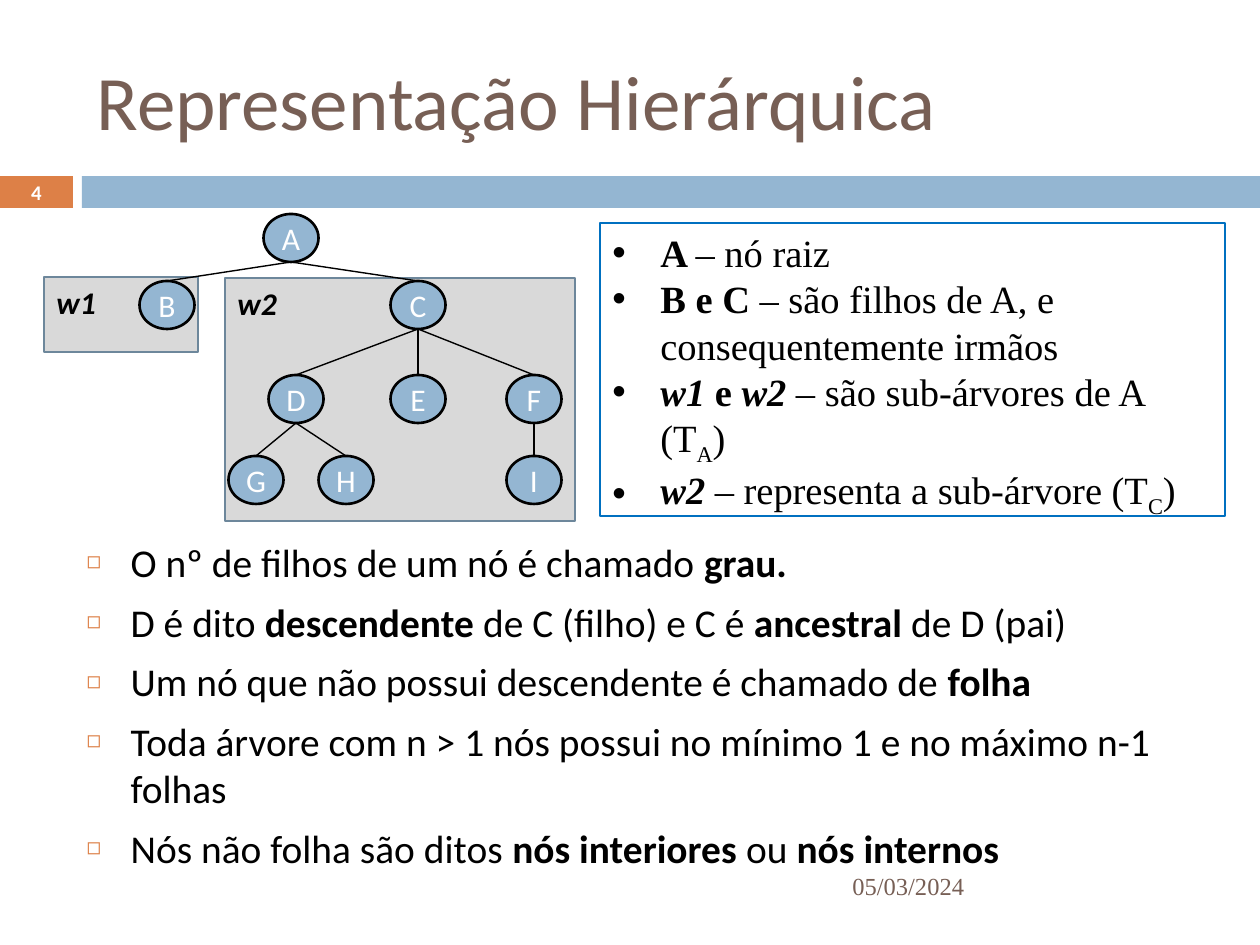
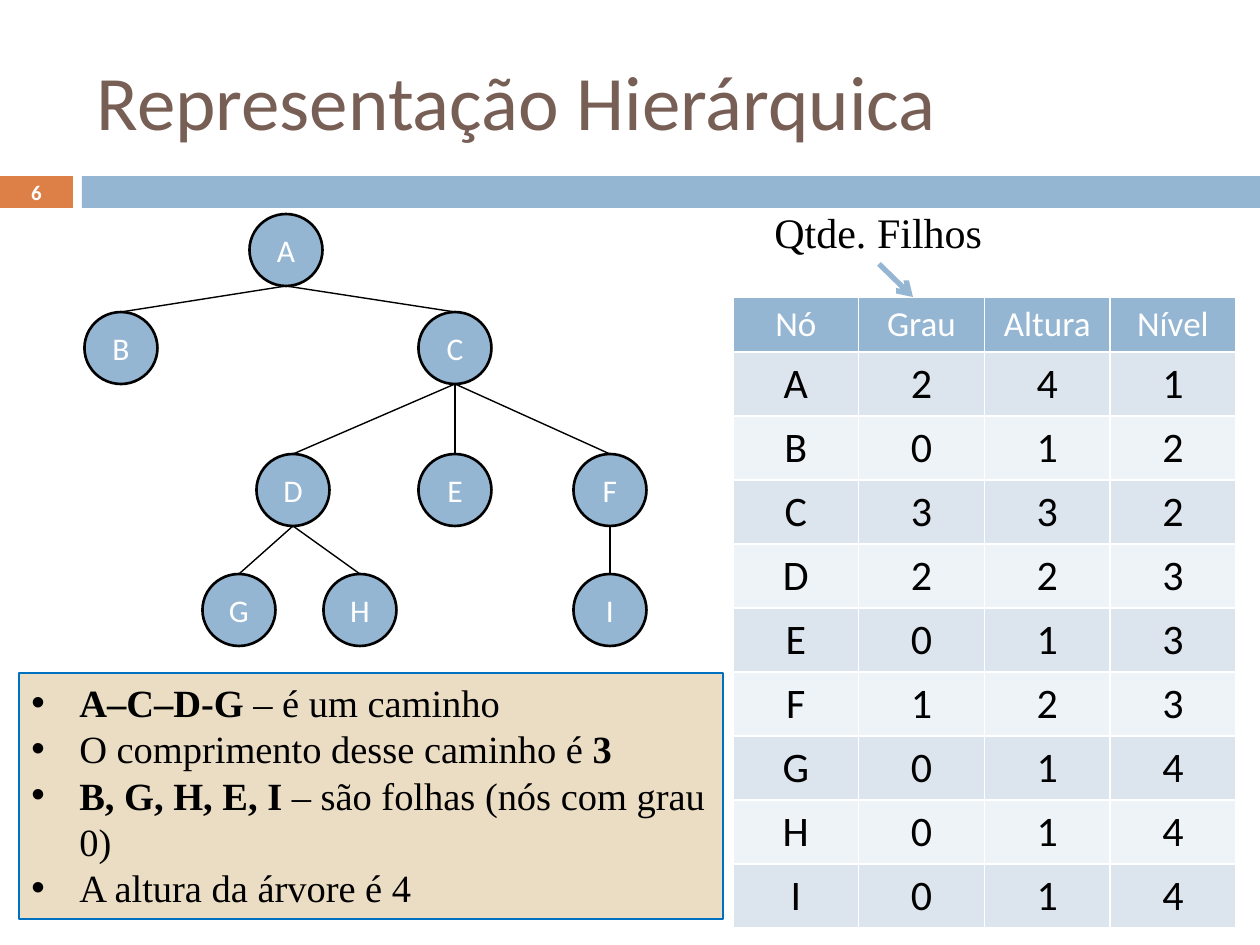
from dataclasses import dataclass

from lxml.etree import SubElement
from pptx import Presentation
from pptx.dml.color import RGBColor
from pptx.enum.shapes import MSO_CONNECTOR, MSO_SHAPE
from pptx.enum.text import MSO_ANCHOR, MSO_AUTO_SIZE, PP_ALIGN
from pptx.oxml.ns import qn
from pptx.util import Emu, Pt

EMU_PER_PX = 914400 / 126


@dataclass(frozen=True)
class Theme:
    sans: str = "Calibri"
    serif: str = "Times New Roman"
    brown: str = "775F55"
    orange: str = "DD8047"
    blue: str = "94B6D2"
    slate: str = "6D879B"
    edge_blue: str = "0070C0"
    gray: str = "D9D9D9"
    sand: str = "EBDDC3"
    row_dark: str = "DCE5EE"
    row_light: str = "EEF3F7"
    black: str = "000000"
    white: str = "FFFFFF"
    title: float = 44
    large: float = 24
    body: float = 22.5
    note: float = 22
    header: float = 20
    node: float = 18
    date: float = 14
    number: float = 11.9


T = Theme()

LEVELS = ("A", "BC", "DEF", "GHI")
EDGES = ("AB", "AC", "CD", "CE", "CF", "FI", "DG", "DH")

ROOT_NOTES = [
    [("A ", "b"), ("– nó raiz", "")],
    [("B e C", "b"), (" – são filhos de A, e consequentemente irmãos", "")],
    [("w1 ", "bi"), ("e", "b"), (" w2", "bi"),
     (" – são sub-árvores de A (T", ""), ("A", "s"), (")", "")],
    [("w2", "bi"), (" – representa a sub-árvore (T", ""), ("C", "s"), (")", "")],
]
DEFINITIONS = [
    [("O nº de filhos de um nó é chamado ", ""), ("grau.", "b")],
    [("D é dito ", ""), ("descendente", "b"), (" de C (filho) e C é ", ""),
     ("ancestral ", "b"), ("de D (pai)", "")],
    [("Um nó que não possui descendente é chamado de ", ""), ("folha", "b")],
    [("Toda árvore com n > 1 nós possui no mínimo 1 e no máximo n-1 folhas", "")],
    [("Nós não folha são ditos ", ""), ("nós interiores ", "b"), ("ou ", ""),
     ("nós internos", "b")],
]
PATH_NOTES = [
    [("A–C–D-G ", "b"), ("– é um caminho", "")],
    [("O comprimento desse caminho é ", ""), ("3", "b")],
    [("B, G, H, E, I ", "b"), ("– são folhas (nós com grau 0)", "")],
    [("A altura da árvore é 4", "")],
]
NODE_TABLE = [("Nó", "Grau", "Altura", "Nível")] + [
    tuple(row) for row in
    ("A241", "B012", "C332", "D223", "E013", "F123", "G014", "H014", "I014")]


def px(*lengths):
    return [Emu(round(n * EMU_PER_PX)) for n in lengths]


def rgb(color):
    return RGBColor.from_string(color)


def add_run(p, text, size, color, font=T.sans, style=""):
    """Style letters: b bold, i italic, s subscript."""
    r = p.add_run()
    r.text = text
    f = r.font
    f.name, f.size, f.color.rgb = font, Pt(size), rgb(color)
    f.bold, f.italic = "b" in style, "i" in style
    if "s" in style:
        r._r.get_or_add_rPr().set("baseline", "-25000")


def set_bullet(p, char, indent, color, percent):
    pPr = p._p.get_or_add_pPr()
    hang = px(indent)[0]
    pPr.set("marL", str(hang))
    pPr.set("indent", str(-hang))
    SubElement(SubElement(pPr, qn("a:buClr")), qn("a:srgbClr"), val=color)
    SubElement(pPr, qn("a:buSzPct"), val=str(percent * 1000))
    SubElement(pPr, qn("a:buFont"), typeface="Arial")
    SubElement(pPr, qn("a:buChar"), char=char)


def fill_list(tf, items, size, font, before, bullet):
    tf.word_wrap = True
    tf.auto_size = MSO_AUTO_SIZE.NONE
    tf.vertical_anchor = MSO_ANCHOR.TOP
    for i, runs in enumerate(items):
        p = tf.add_paragraph() if i else tf.paragraphs[0]
        p.alignment = PP_ALIGN.LEFT
        p.line_spacing, p.space_before = 1.0, Pt(before)
        set_bullet(p, *bullet)
        for text, style in runs:
            add_run(p, text, size, T.black, font, style)


def add_box(shapes, kind, box, fill=None, line=None, width=1.5):
    sp = shapes.add_shape(kind, *px(*box))
    sp.shadow.inherit = False
    if fill:
        sp.fill.solid()
        sp.fill.fore_color.rgb = rgb(fill)
    else:
        sp.fill.background()
    if line:
        sp.line.color.rgb = rgb(line)
        sp.line.width = Pt(width)
    else:
        sp.line.fill.background()
    return sp


def add_text(s, box, text, size, color, font=T.sans, style="", align=PP_ALIGN.LEFT,
             anchor=MSO_ANCHOR.MIDDLE, wrap=True):
    tf = s.shapes.add_textbox(*px(*box)).text_frame
    tf.word_wrap, tf.vertical_anchor = wrap, anchor
    tf.paragraphs[0].alignment = align
    add_run(tf.paragraphs[0], text, size, color, font, style)


def add_line(shapes, start, end, color, width, arrow=False):
    c = shapes.add_connector(MSO_CONNECTOR.STRAIGHT, *px(*start, *end))
    c.line.color.rgb = rgb(color)
    c.line.width = Pt(width)
    if arrow:
        SubElement(c.line._get_or_add_ln(), qn("a:tailEnd"), type="arrow")
    SubElement(c._element.spPr, qn("a:effectLst"))


def add_notes(s, box, items, fill=None):
    sp = add_box(s.shapes, MSO_SHAPE.RECTANGLE, box, fill, T.edge_blue, 0.75)
    fill_list(sp.text_frame, items, T.note, T.serif, 0, ("•", 48, T.black, 100))


def add_subtree_area(s, box, label):
    sp = add_box(s.shapes, MSO_SHAPE.RECTANGLE, box, T.gray, T.slate)
    tf = sp.text_frame
    tf.vertical_anchor = MSO_ANCHOR.TOP
    tf.paragraphs[0].alignment = PP_ALIGN.LEFT
    add_run(tf.paragraphs[0], label, T.node, T.black, style="bi")


def add_tree(s, centers, tops, size):
    """Draw the nodes A to I, given the centre of each and the top of each level."""
    w, h = size
    x = dict(zip("".join(LEVELS), centers))
    y = {name: top for names, top in zip(LEVELS, tops) for name in names}
    tree = s.shapes.add_group_shape().shapes
    for name in x:
        node = add_box(tree, MSO_SHAPE.OVAL, (x[name] - w / 2, y[name], w, h),
                       T.blue, T.black)
        tf = node.text_frame
        tf.margin_left = tf.margin_right = tf.margin_top = tf.margin_bottom = 0
        tf.word_wrap, tf.vertical_anchor = False, MSO_ANCHOR.MIDDLE
        tf.paragraphs[0].alignment = PP_ALIGN.CENTER
        add_run(tf.paragraphs[0], name, T.node, T.white)
    for parent, child in EDGES:
        add_line(tree, (x[parent], y[parent] + h), (x[child], y[child]), T.black, 0.79)


def set_borders(cell):
    tcPr = cell._tc.get_or_add_tcPr()
    for i, side in enumerate("LRTB"):
        ln = tcPr.makeelement(qn(f"a:ln{side}"), {"w": str(Pt(1))})
        SubElement(SubElement(ln, qn("a:solidFill")), qn("a:srgbClr"), val=T.white)
        tcPr.insert(i, ln)


def add_node_table(s, left, top, width, header_height, row_height):
    rows, cols = len(NODE_TABLE), len(NODE_TABLE[0])
    height = header_height + (rows - 1) * row_height
    table = s.shapes.add_table(rows, cols, *px(left, top, width, height)).table
    for i, values in enumerate(NODE_TABLE):
        table.rows[i].height = px(row_height if i else header_height)[0]
        fill, color, size = T.blue, T.white, T.header
        if i:
            fill, color, size = (T.row_dark if i % 2 else T.row_light), T.black, T.large
        for j, value in enumerate(values):
            cell = table.cell(i, j)
            cell.fill.solid()
            cell.fill.fore_color.rgb = rgb(fill)
            set_borders(cell)
            p = cell.text_frame.paragraphs[0]
            p.alignment = PP_ALIGN.CENTER
            add_run(p, value, size, color)


def place(sp, box):
    sp.left, sp.top, sp.width, sp.height = px(*box)


def new_slide(prs, layout, number):
    """Start a slide with the shared title, bands and slide number."""
    s = prs.slides.add_slide(prs.slide_layouts[layout])
    add_box(s.shapes, MSO_SHAPE.RECTANGLE, (0, 176, 73, 32), T.orange)
    add_box(s.shapes, MSO_SHAPE.RECTANGLE, (82, 176, 1178, 32), T.blue)
    title = s.shapes.title
    place(title, (84, 32, 1124, 136))
    tf = title.text_frame
    tf.auto_size, tf.vertical_anchor = MSO_AUTO_SIZE.NONE, MSO_ANCHOR.MIDDLE
    tf.paragraphs[0].alignment = PP_ALIGN.LEFT
    add_run(tf.paragraphs[0], "Representação Hierárquica", T.title, T.brown)
    add_text(s, (0, 175, 73, 34), number, T.number, T.white, style="b",
             align=PP_ALIGN.CENTER)
    return s


def build_subtrees_slide(prs):
    s = new_slide(prs, 1, "4")
    add_text(s, (840, 861, 368, 50), "05/03/2024", T.date, T.brown, T.serif)
    add_subtree_area(s, (225, 278, 350, 243), "w2")
    add_subtree_area(s, (44, 277, 154, 75), "w1")
    add_tree(s, (291, 167, 418, 296, 418, 534, 256, 346, 534),
             (214, 281, 375, 456), (55, 48))
    add_notes(s, (600, 223, 625, 293), ROOT_NOTES)
    body = s.placeholders[1]
    place(body, (74, 532, 1123, 348))
    fill_list(body.text_frame, DEFINITIONS, T.body, T.sans, 7,
              ("◻", 44, T.orange, 60))


def build_measures_slide(prs):
    s = new_slide(prs, 5, "6")
    add_tree(s, (286, 121, 455, 293, 455, 610, 239, 360, 610),
             (214, 312, 454, 574), (73, 72))
    add_node_table(s, 733, 297, 503, 55, 64)
    add_notes(s, (19, 673, 704, 246), PATH_NOTES, T.sand)
    add_text(s, (762, 200, 236, 64), "Qtde. Filhos", T.large, T.black, T.serif,
             anchor=MSO_ANCHOR.TOP, wrap=False)
    add_line(s.shapes, (879, 264), (913, 297), T.blue, 3, arrow=True)


def main():
    prs = Presentation()
    prs.slide_width, prs.slide_height = px(1260, 945)
    build_subtrees_slide(prs)
    build_measures_slide(prs)
    prs.save("out.pptx")


if __name__ == "__main__":
    main()
